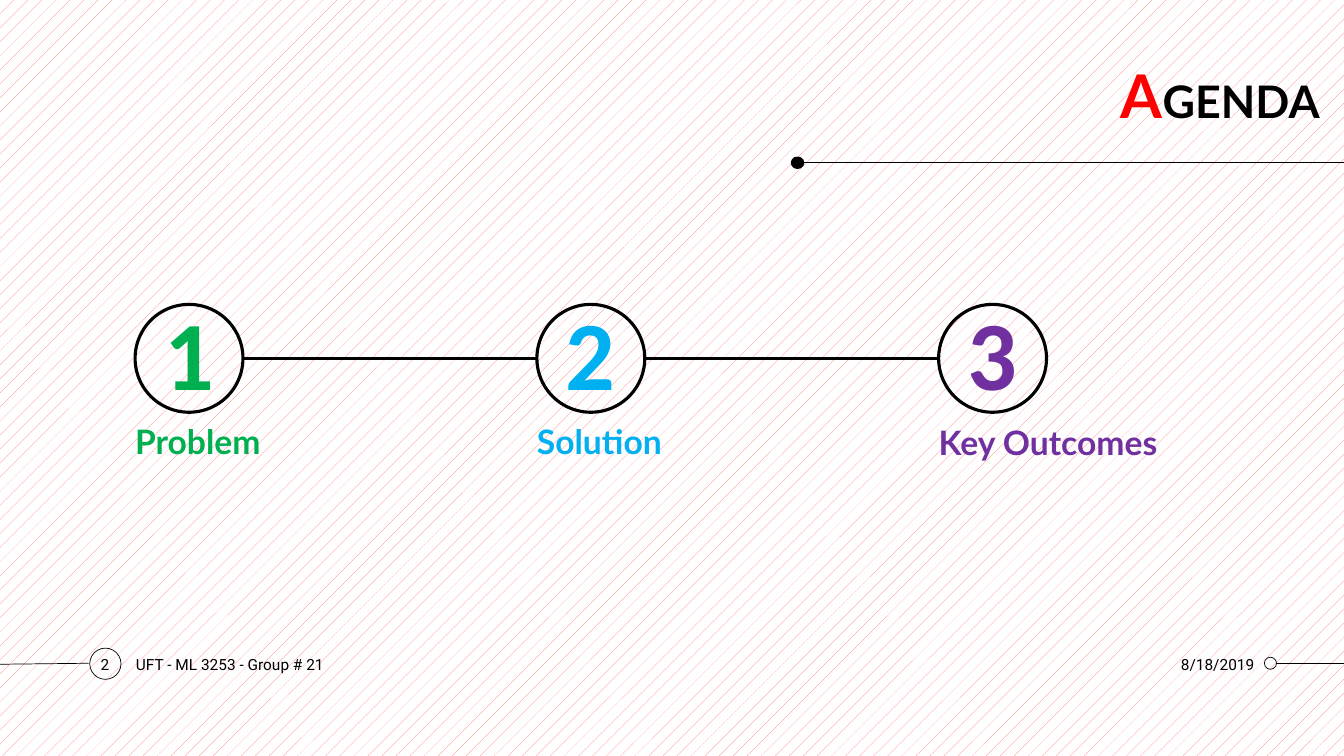
from lxml import etree
from pptx import Presentation
from pptx.dml.color import RGBColor
from pptx.enum.dml import MSO_PATTERN
from pptx.enum.shapes import MSO_CONNECTOR, MSO_SHAPE
from pptx.enum.text import MSO_ANCHOR as ANCHOR, PP_ALIGN as ALIGN
from pptx.oxml.ns import qn
from pptx.util import Inches, Pt

BLACK = RGBColor(0x00, 0x00, 0x00)
WHITE = RGBColor(0xFF, 0xFF, 0xFF)
RED = RGBColor(0xFF, 0x00, 0x00)
PINK = RGBColor(0xFF, 0x79, 0x79)
GREEN = RGBColor(0x00, 0xB0, 0x50)
BLUE = RGBColor(0x00, 0xB0, 0xF0)
PURPLE = RGBColor(0x70, 0x30, 0xA0)

TITLE = [("A", dict(size=Pt(43), name="Lato", bold=True), RED),
         ("GENDA", dict(size=Pt(32), name="Lato", bold=True), BLACK)]
STEPS = [("Problem", GREEN, 0.9), ("Solution", BLUE, 0.9), ("Key Outcomes", PURPLE, 0.8)]
FOOTERS = [("8/18/2019", 9.54, 3, ALIGN.RIGHT),
           ("UFT - ML 3253 - Group # 21", 1.25, 4.5, ALIGN.LEFT),
           ("2", 0.83, 0.42, ALIGN.CENTER)]
RULES = [(7.94, 1.61, 13.33, 1.61), (12.66, 6.58, 13.33, 6.58), (0, 6.59, 0.88, 6.58)]
DOTS = [((7.85, 1.56, 0.12, 0.11), BLACK, 1),
        ((12.54, 6.52, 0.12, 0.12), None, 0.5),
        ((0.89, 6.43, 0.31, 0.31), None, 0.5)]

NUMBER_FONT = dict(size=Pt(70), name="Calibri", bold=True)
LABEL_FONT = dict(size=Pt(24), name="Lato", bold=True)
FOOTER_FONT = dict(size=Pt(11), name="Roboto")

STEP_LEFT, STEP_PITCH = 1.34, 3.985
RING_TOP, RING_SIZE = 3.02, 1.07
LABEL_TOP, LABEL_W, LABEL_H = 4.22, 3.22, 0.36


def write(shape, runs, align, anchor, spacing=None, inset=0):
    """Fill a shape with one paragraph of (text, font, colour) runs."""
    tf = shape.text_frame
    tf.word_wrap = True
    tf.vertical_anchor = anchor
    tf.margin_left = tf.margin_right = Inches(inset)
    tf.margin_top = tf.margin_bottom = Inches(inset / 2)
    p = tf.paragraphs[0]
    p.alignment = align
    p.line_spacing = spacing
    for text, font, color in runs:
        r = p.add_run()
        r.text = text
        for key, value in font.items():
            setattr(r.font, key, value)
        r.font.color.rgb = color


def add_box(s, *box):
    return s.shapes.add_textbox(*map(Inches, box))


def add_line(s, ends, width):
    line = s.shapes.add_connector(MSO_CONNECTOR.STRAIGHT, *map(Inches, ends))
    line.line.color.rgb = BLACK
    line.line.width = Pt(width)
    etree.SubElement(line._element.spPr, qn("a:effectLst"))


def add_circle(s, box, fill, width):
    circle = s.shapes.add_shape(MSO_SHAPE.OVAL, *map(Inches, box))
    circle.shadow.inherit = False
    if fill is None:
        circle.fill.background()
    else:
        circle.fill.solid()
        circle.fill.fore_color.rgb = fill
    circle.line.color.rgb = BLACK
    circle.line.width = Pt(width)
    return circle


def main():
    prs = Presentation()
    prs.slide_width, prs.slide_height = Inches(13.33), Inches(7.5)
    s = prs.slides.add_slide(prs.slide_layouts[6])
    bg = s.background.fill
    bg.patterned()
    bg.pattern = MSO_PATTERN.PERCENT_5
    bg.fore_color.rgb = PINK
    bg.back_color.rgb = WHITE

    for ends in RULES:
        add_line(s, ends, 0.5)
    for box, fill, width in DOTS:
        add_circle(s, box, fill, width)
    for text, left, width, align in FOOTERS:
        write(add_box(s, left, 6.39, width, 0.4), [(text, FOOTER_FONT, BLACK)],
              align, ANCHOR.MIDDLE, inset=0.1)
    write(add_box(s, 3.99, 0.43, 9.1, 1.1), TITLE, ALIGN.RIGHT, ANCHOR.MIDDLE, 0.9)

    for i, (label, color, spacing) in enumerate(STEPS):
        left = STEP_LEFT + i * STEP_PITCH
        ring = add_circle(s, (left, RING_TOP, RING_SIZE, RING_SIZE), None, 2.25)
        write(ring, [(str(i + 1), NUMBER_FONT, color)], ALIGN.CENTER, ANCHOR.MIDDLE, 0.9)
        write(add_box(s, left, LABEL_TOP, LABEL_W, LABEL_H), [(label, LABEL_FONT, color)],
              ALIGN.LEFT, ANCHOR.BOTTOM, spacing)
        if i:
            y = RING_TOP + RING_SIZE / 2
            add_line(s, (left - STEP_PITCH + RING_SIZE, y, left, y), 2.25)

    prs.save("out.pptx")


if __name__ == "__main__":
    main()
